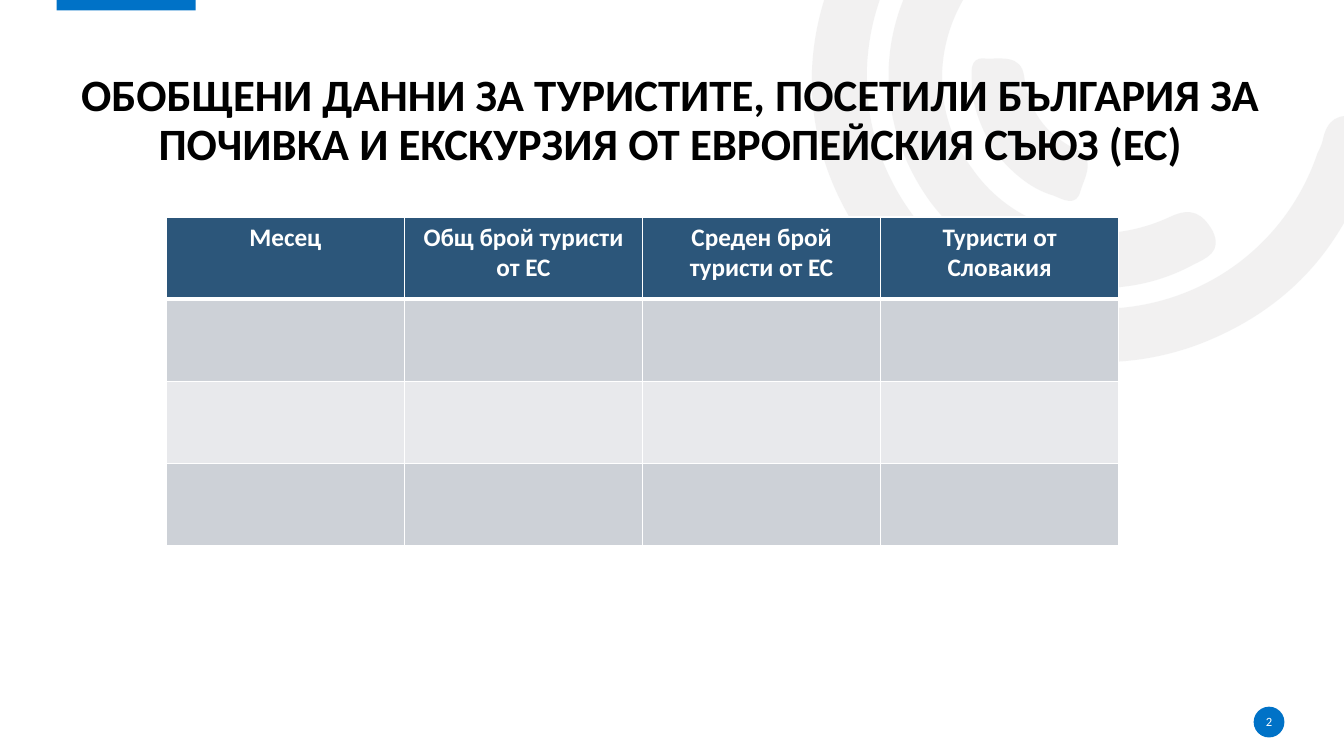
import dataclasses
import math

import lxml.etree
import pptx
import pptx.dml.color
import pptx.enum.shapes
import pptx.enum.text
import pptx.oxml.ns
import pptx.util

Pt = pptx.util.Pt
SHAPES = pptx.enum.shapes.MSO_SHAPE
ANCHOR = pptx.enum.text.MSO_ANCHOR
qn = pptx.oxml.ns.qn


@dataclasses.dataclass(frozen=True)
class Theme:
    """Colours and type sizes of the slide."""
    font: str = "Calibri"
    accent: str = "0072C7"
    ornament: str = "E7E6E6"
    header: str = "2C567A"
    bands: tuple = ("CDD1D7", "E8E9EC")
    light: str = "FFFFFF"
    dark: str = "000000"
    title_size: int = 32
    table_size: int = 18
    number_size: int = 9


def rgb(colour):
    """Turn a hex string into a colour."""
    return pptx.dml.color.RGBColor.from_string(colour)


def turn(x, y, degrees):
    """Turn a point clockwise about the slide's corner."""
    cosine, sine = math.cos(math.radians(degrees)), math.sin(math.radians(degrees))
    return x * cosine - y * sine, x * sine + y * cosine


def write(frame, text, *, font, size, colour, bold=False, spacing=1.0):
    """Write one centred paragraph into a text frame."""
    paragraph = frame.paragraphs[0]
    paragraph.alignment = pptx.enum.text.PP_ALIGN.CENTER
    paragraph.line_spacing = spacing
    run = paragraph.add_run()
    run.text = text
    run.font.name = font
    run.font.size = Pt(size)
    run.font.bold = bold
    run.font.color.rgb = rgb(colour)


def bend(shape):
    """Turn each three straight segments of an outline into one Bézier curve."""
    segments = list(shape._element.iter(qn("a:lnTo")))
    for first in range(0, len(segments), 3):
        curve = lxml.etree.Element(qn("a:cubicBezTo"))
        segments[first].addprevious(curve)
        for segment in segments[first:first + 3]:
            curve.append(segment[0])
            segment.getparent().remove(segment)


class SlideBuilder:
    """Draws styled elements on the current slide."""

    def __init__(self, slide, theme):
        """Keep the slide and its theme."""
        self.slide = slide
        self.theme = theme

    def paint(self, shape, colour, opacity=None):
        """Give a shape a plain fill without line or shadow."""
        shape.shadow.inherit = False
        shape.fill.solid()
        shape.fill.fore_color.rgb = rgb(colour)
        shape.line.fill.background()
        if opacity:
            colour_node = shape._element.spPr.find(f".//{qn('a:srgbClr')}")
            lxml.etree.SubElement(colour_node, qn("a:alpha"), val=str(opacity * 1000))

    def block(self, kind, box):
        """Add an accent-coloured preset shape."""
        shape = self.slide.shapes.add_shape(kind, *map(Pt, box))
        self.paint(shape, self.theme.accent)

    def arc(self, start, curves, rotation):
        """Add a pale, turned outline given in hundredths of an inch."""
        def place(x, y):
            return tuple(Pt(value * 0.72) for value in turn(x, y, -rotation))

        builder = self.slide.shapes.build_freeform(*place(*start))
        builder.add_line_segments([place(*curve[i:i + 2])
                                   for curve in curves for i in (0, 2, 4)])
        shape = builder.convert_to_shape()
        bend(shape)
        half_width, half_height = shape.width / 2, shape.height / 2
        x, y = turn(shape.left + half_width, shape.top + half_height, rotation)
        shape.left, shape.top = int(x - half_width), int(y - half_height)
        shape.rotation = rotation
        self.paint(shape, self.theme.ornament, opacity=53)

    def label(self, text, box, anchor, **style):
        """Add a text box without margins."""
        frame = self.slide.shapes.add_textbox(*map(Pt, box)).text_frame
        frame.word_wrap = True
        frame.vertical_anchor = anchor
        frame.margin_left = frame.margin_right = frame.margin_top = frame.margin_bottom = 0
        write(frame, text, font=self.theme.font, **style)

    def borders(self, cell, top, bottom):
        """Draw the four light borders of a cell."""
        properties = cell._tc.get_or_add_tcPr()
        widths = {"a:lnL": 1, "a:lnR": 1, "a:lnT": top, "a:lnB": bottom}
        for index, (tag, width) in enumerate(widths.items()):
            line = lxml.etree.Element(qn(tag), w=str(Pt(width)))
            fill = lxml.etree.SubElement(line, qn("a:solidFill"))
            lxml.etree.SubElement(fill, qn("a:srgbClr"), val=self.theme.light)
            properties.insert(index, line)

    def table(self, headings, body_rows, box):
        """Add a banded table with a heading row and empty body rows."""
        theme = self.theme
        rows = body_rows + 1
        table = self.slide.shapes.add_table(rows, len(headings), *map(Pt, box)).table
        table.horz_banding = False
        for column in table.columns:
            column.width = Pt(box[2] / len(headings))
        for index, row in enumerate(table.rows):
            row.height = Pt(box[3] / rows)
            for cell, heading in zip(row.cells, headings):
                cell.fill.solid()
                colour = theme.bands[(index - 1) % 2] if index else theme.header
                cell.fill.fore_color.rgb = rgb(colour)
                self.borders(cell, top=3 if index == 1 else 1, bottom=1 if index else 3)
                if index == 0:
                    write(cell.text_frame, heading, font=theme.font,
                          size=theme.table_size, colour=theme.light, bold=True)


ARC_ROTATION = 144.2
ARCS = [
    ((851, 229), [
        (799, 149, 787, 50, 838, -50), (890, -152, 976, -203, 1090, -207),
        (1105, -207, 1121, -210, 1131, -195), (1144, -175, 1127, -154, 1098, -154),
        (967, -154, 865, -59, 860, 68), (856, 181, 936, 281, 1046, 302),
        (1160, 324, 1270, 261, 1307, 152), (1309, 148, 1311, 144, 1312, 140),
        (1316, 119, 1327, 111, 1349, 117), (1373, 124, 1367, 141, 1361, 156),
        (1334, 245, 1278, 307, 1191, 341), (1070, 387, 936, 345, 851, 229)]),
    ((922, 199), [
        (862, 115, 869, 7, 940, -68), (951, -79, 962, -95, 980, -78),
        (995, -64, 997, -50, 979, -32), (925, 26, 920, 108, 965, 168),
        (1008, 229, 1088, 249, 1161, 215), (1182, 205, 1193, 212, 1203, 229),
        (1213, 250, 1197, 256, 1183, 263), (1096, 310, 983, 282, 922, 199)]),
    ((987, 151), [
        (975, 130, 964, 107, 964, 82), (964, 73, 961, 57, 976, 58),
        (992, 59, 1013, 53, 1016, 76), (1021, 110, 1036, 132, 1067, 148),
        (1088, 157, 1076, 176, 1072, 189), (1068, 206, 1055, 198, 1045, 194),
        (1021, 187, 1003, 170, 987, 151)]),
]
TITLE = ("ОБОБЩЕНИ ДАННИ ЗА ТУРИСТИТЕ, ПОСЕТИЛИ БЪЛГАРИЯ ЗА "
         "ПОЧИВКА И ЕКСКУРЗИЯ ОТ ЕВРОПЕЙСКИЯ СЪЮЗ (ЕС)")
HEADINGS = ["Месец", "Общ брой туристи от ЕС", "Среден брой туристи от ЕС",
            "Туристи от Словакия"]


def main():
    """Build and save the presentation."""
    deck = pptx.Presentation()
    deck.slide_width, deck.slide_height = Pt(960), Pt(540)
    theme = Theme()
    page = SlideBuilder(deck.slides.add_slide(deck.slide_layouts[6]), theme)
    for start, curves in ARCS:
        page.arc(start, curves, ARC_ROTATION)
    page.block(SHAPES.RECTANGLE, (40.5, -1.2, 99.2, 8.6))
    page.block(SHAPES.OVAL, (895.5, 504.8, 22, 22))
    page.label(TITLE, (40.3, 48.7, 877.5, 72.7), ANCHOR.BOTTOM, size=theme.title_size,
               colour=theme.dark, bold=True, spacing=0.9)
    page.label("2", (895, 508.3, 23, 14.4), ANCHOR.MIDDLE, size=theme.number_size,
               colour=theme.light)
    page.table(HEADINGS, 3, (118.8, 155, 680.4, 234.6))
    deck.save("out.pptx")


if __name__ == "__main__":
    main()
